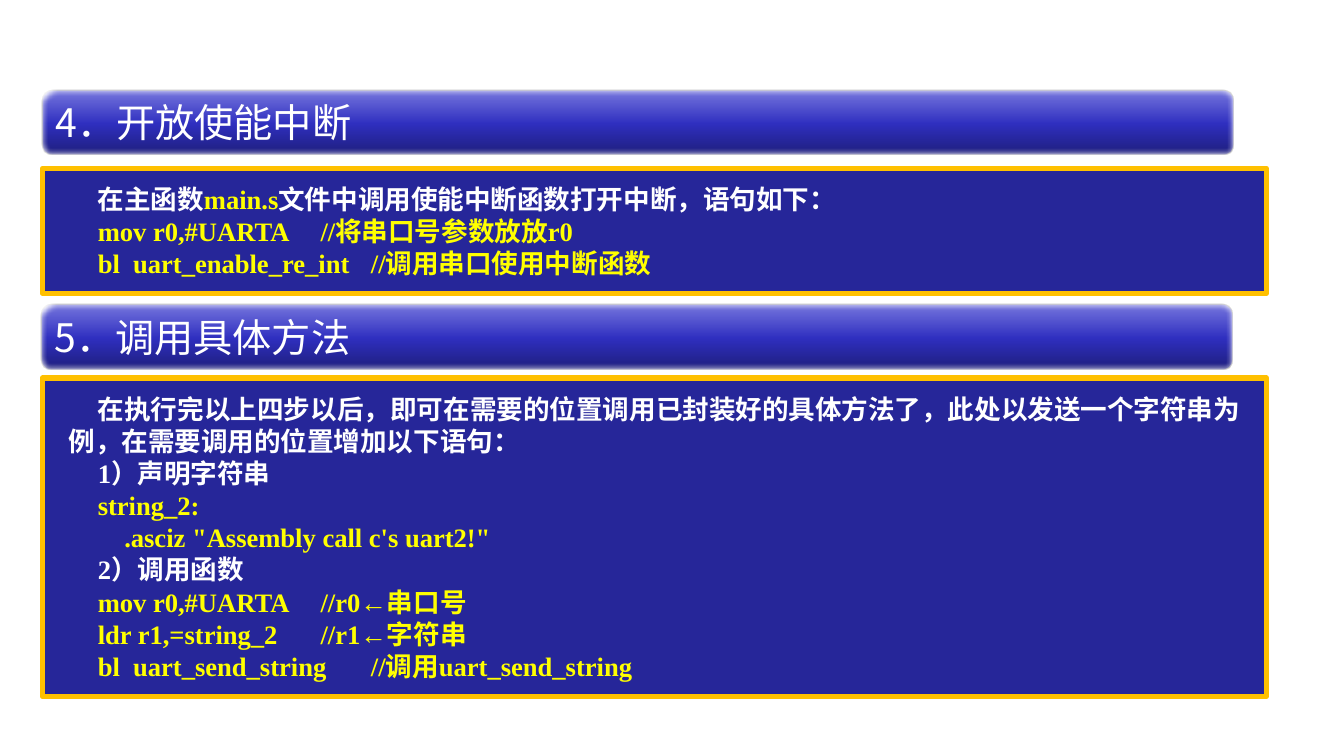
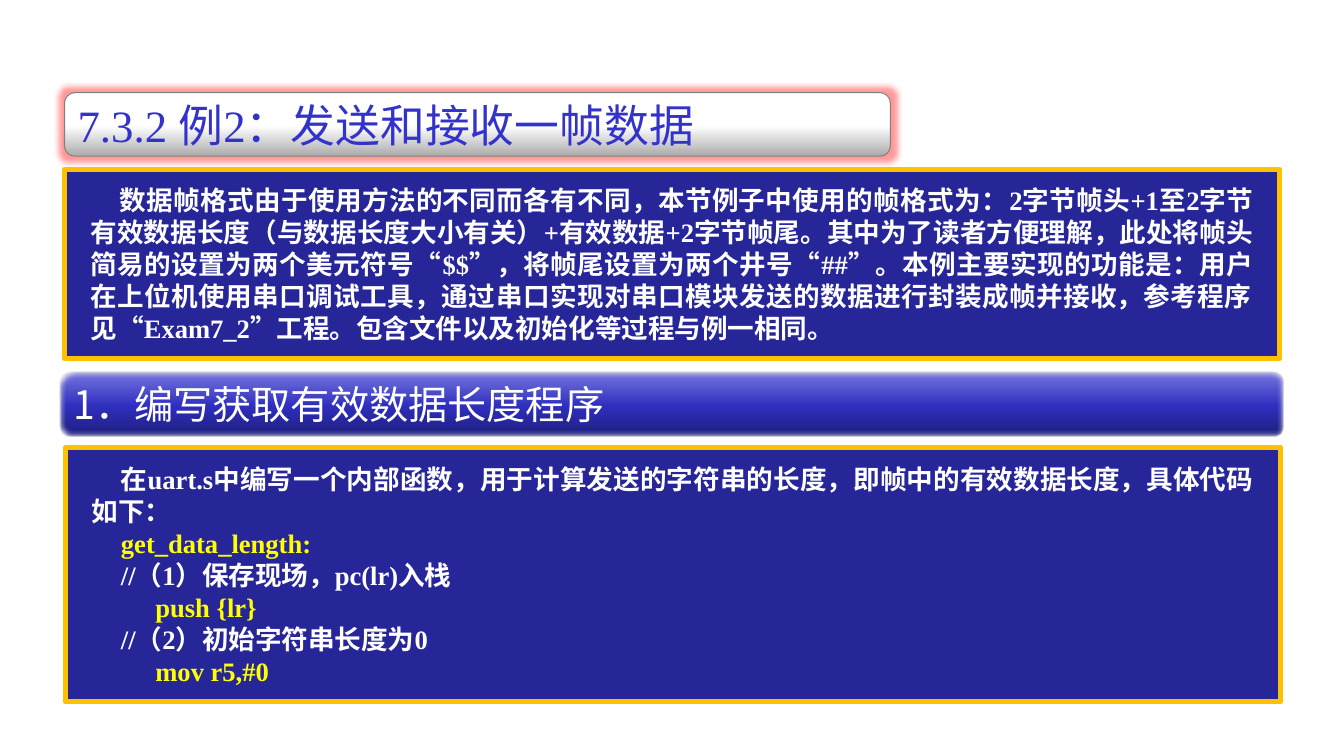
import pptx
import pptx.dml.color
import pptx.enum.lang
import pptx.enum.shapes
import pptx.enum.text
import pptx.oxml
import pptx.oxml.ns
import pptx.util
from lxml import etree

Inches = pptx.util.Inches
Pt = pptx.util.Pt
qn = pptx.oxml.ns.qn

COLORS = {
    "prose": "FFFFFF",
    "code": "FFFF00",
    "panel": "262699",
    "panel_border": "FFC000",
    "heading_border": "808080",
    "title": "3333CC",
    "glow": "FF0000",
}
BAR_GRADIENT = [(0, "1E1E7C"), (48, "2F2FC0"), (100, "7878DE")]
TITLE_GRADIENT = [(0, "ABABAB"), (48, "FFFFFF"), (100, "FFFFFF")]
CJK_FONT = "Noto Sans CJK SC"
LATIN_FONT = "Times New Roman"


def rgb(name):
    return pptx.dml.color.RGBColor.from_string(COLORS[name])


def add_box(slide, kind, box, border, border_width):
    shape = slide.shapes.add_shape(kind, *[Inches(length) for length in box])
    shape.shadow.inherit = False
    shape.line.color.rgb = rgb(border)
    shape.line.width = Pt(border_width)
    text_frame = shape.text_frame
    text_frame.word_wrap = True
    text_frame.vertical_anchor = pptx.enum.text.MSO_ANCHOR.MIDDLE
    return shape


def format_run(run, size, color, latin_font, bold=False):
    run.font.size = Pt(size)
    run.font.bold = bold
    run.font.name = latin_font
    run.font.color.rgb = rgb(color)
    run.font.language_id = pptx.enum.lang.MSO_LANGUAGE_ID.SIMPLIFIED_CHINESE
    properties = run.font._element
    east_asian = etree.Element(qn("a:ea"), typeface=CJK_FONT)
    properties.find(qn("a:latin")).addnext(east_asian)


def fill_gradient(shape, stops):
    """Fill from bottom to top with (percent, hex colour) stops."""
    shape.fill.gradient()
    shape.fill.gradient_angle = 90
    stop_list = shape._element.spPr.find(qn("a:gradFill")).find(qn("a:gsLst"))
    for old_stop in list(stop_list):
        stop_list.remove(old_stop)
    for percent, color in stops:
        stop = etree.SubElement(stop_list, qn("a:gs"), pos=str(percent * 1000))
        etree.SubElement(stop, qn("a:srgbClr"), val=color)


def add_effect(shape, tag, radius):
    effects = shape._element.spPr.find(qn("a:effectLst"))
    return etree.SubElement(effects, qn(tag), rad=str(Pt(radius)))


def add_heading(slide, box, text, stops, size, color, latin_font):
    rounded = pptx.enum.shapes.MSO_SHAPE.ROUNDED_RECTANGLE
    shape = add_box(slide, rounded, box, "heading_border", 0.75)
    fill_gradient(shape, stops)
    shape.text_frame.text = text
    paragraph = shape.text_frame.paragraphs[0]
    paragraph.alignment = pptx.enum.text.PP_ALIGN.LEFT
    format_run(paragraph.runs[0], size, color, latin_font)
    return shape


def add_section_bar(slide, box, text):
    shape = add_heading(slide, box, text, BAR_GRADIENT, 28, "prose", CJK_FONT)
    add_effect(shape, "a:softEdge", 2.5)


def add_title(slide, box, text):
    shape = add_heading(slide, box, text, TITLE_GRADIENT, 32, "title", LATIN_FONT)
    glow = add_effect(shape, "a:glow", 8)
    color = etree.SubElement(glow, qn("a:srgbClr"), val=COLORS["glow"])
    etree.SubElement(color, qn("a:alpha"), val="40000")


def add_panel(slide, box, lines, comment_tab=None):
    """Each line is a list of (colour name, text); comment_tab aligns code comments."""
    shape = add_box(slide, pptx.enum.shapes.MSO_SHAPE.RECTANGLE, box, "panel_border", 3.75)
    shape.fill.solid()
    shape.fill.fore_color.rgb = rgb("panel")
    text_frame = shape.text_frame
    text_frame.margin_left = text_frame.margin_right = Inches(0.26)
    text_frame.margin_top = text_frame.margin_bottom = Inches(0.14)
    for index, line in enumerate(lines):
        paragraph = text_frame.paragraphs[0] if index == 0 else text_frame.add_paragraph()
        paragraph.alignment = pptx.enum.text.PP_ALIGN.JUSTIFY
        paragraph.line_spacing = Pt(22.9)
        properties = paragraph._p.get_or_add_pPr()
        properties.set("indent", str(Inches(0.29)))
        if comment_tab:
            tabs = etree.SubElement(properties, qn("a:tabLst"))
            etree.SubElement(tabs, qn("a:tab"), pos=str(Inches(comment_tab)), algn="l")
        for color, text in line:
            run = paragraph.add_run()
            run.text = text
            format_run(run, 19, color, LATIN_FONT, bold=True)


def build_interrupt_slide(slide):
    add_section_bar(slide, (0.42, 0.89, 11.81, 0.64), "4．开放使能中断")
    add_panel(slide, (0.42, 1.67, 12.14, 1.24), [
        [("prose", "在主函数"), ("code", "main.s"),
         ("prose", "文件中调用使能中断函数打开中断，语句如下：")],
        [("code", "mov r0,#UARTA\t//将串口号参数放放r0")],
        [("code", "bl  uart_enable_re_int\t//调用串口使用中断函数")],
    ], comment_tab=3.11)
    add_section_bar(slide, (0.41, 3.02, 11.81, 0.64), "5．调用具体方法")
    add_panel(slide, (0.42, 3.75, 12.14, 3.16), [
        [("prose", "在执行完以上四步以后，即可在需要的位置调用已封装好的具体方法了，"
                   "此处以发送一个字符串为例，在需要调用的位置增加以下语句：")],
        [("prose", "1）声明字符串")],
        [("code", "string_2:")],
        [("code", "    .asciz \"Assembly call c's uart2!\"")],
        [("prose", "2）调用函数")],
        [("code", "mov r0,#UARTA\t//r0←串口号")],
        [("code", "ldr r1,=string_2\t//r1←字符串")],
        [("code", "bl  uart_send_string\t//调用uart_send_string")],
    ], comment_tab=4)


def build_frame_slide(slide):
    add_title(slide, (0.64, 0.92, 8.19, 0.63), "7.3.2 例2：发送和接收一帧数据")
    add_panel(slide, (0.64, 1.68, 12.05, 1.88), [
        [("prose", "数据帧格式由于使用方法的不同而各有不同，本节例子中使用的帧格式为："
                   "2字节帧头+1至2字节有效数据长度（与数据长度大小有关）+有效数据+2字节帧尾。"
                   "其中为了读者方便理解，此处将帧头简易的设置为两个美元符号“$$”，"
                   "将帧尾设置为两个井号“##”。本例主要实现的功能是："
                   "用户在上位机使用串口调试工具，通过串口实现对串口模块发送的数据进行封装成帧并接收，"
                   "参考程序见“Exam7_2”工程。包含文件以及初始化等过程与例一相同。")],
    ])
    add_section_bar(slide, (0.6, 3.69, 12.13, 0.64), "1．编写获取有效数据长度程序")
    add_panel(slide, (0.65, 4.44, 12.05, 2.52), [
        [("prose", "在uart.s中编写一个内部函数，用于计算发送的字符串的长度，"
                   "即帧中的有效数据长度，具体代码如下：")],
        [("code", "get_data_length:")],
        [("prose", "//（1）保存现场，pc(lr)入栈")],
        [("code", "\t  push {lr}")],
        [("prose", "//（2）初始字符串长度为0")],
        [("code", "\t  mov r5,#0")],
    ])


def main():
    presentation = pptx.Presentation()
    presentation.slide_width = Inches(13.33)
    presentation.slide_height = Inches(7.5)
    blank_layout = presentation.slide_layouts[6]
    for build_slide in (build_interrupt_slide, build_frame_slide):
        build_slide(presentation.slides.add_slide(blank_layout))
    presentation.save("out.pptx")


if __name__ == "__main__":
    main()
